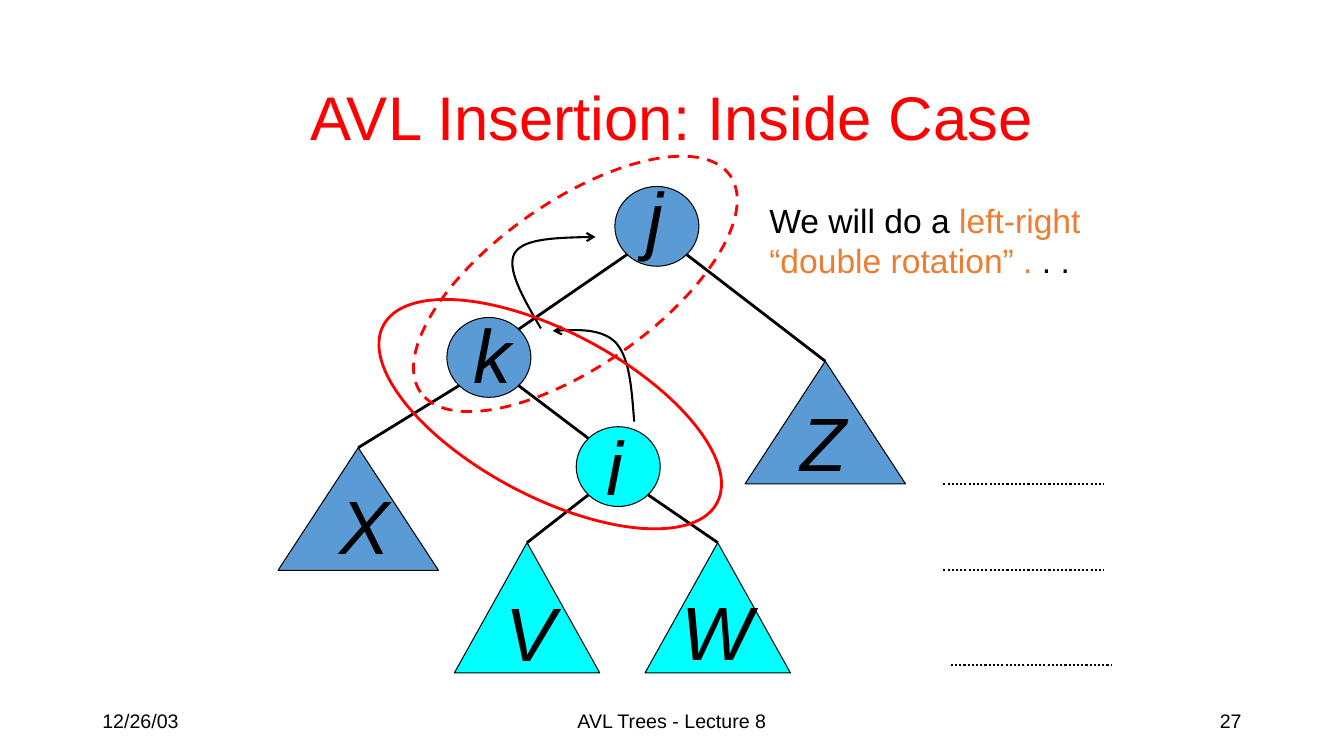
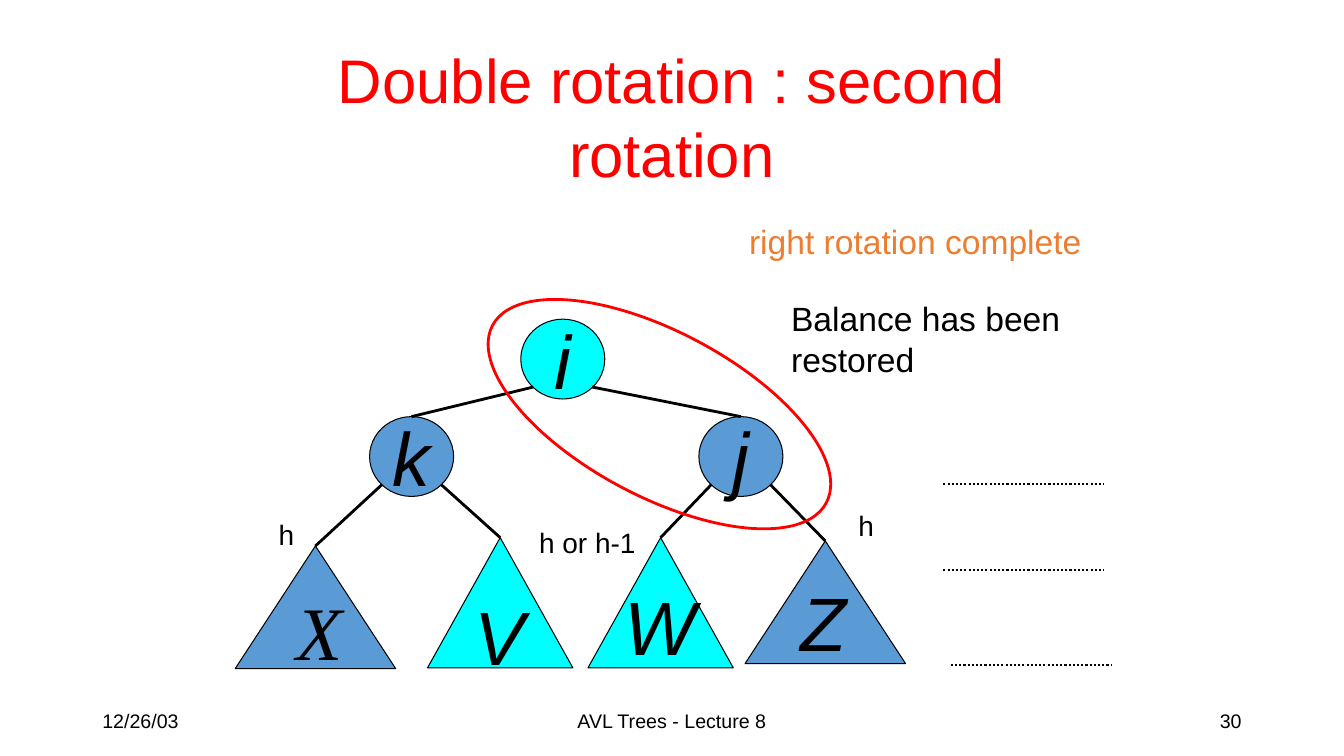
from lxml import etree
from pptx import Presentation
from pptx.dml.color import RGBColor
from pptx.enum.dml import MSO_LINE
from pptx.enum.shapes import MSO_CONNECTOR, MSO_SHAPE
from pptx.enum.text import MSO_ANCHOR, MSO_AUTO_SIZE, PP_ALIGN
from pptx.oxml.ns import qn
from pptx.util import Inches, Pt

OVAL, TRIANGLE = MSO_SHAPE.OVAL, MSO_SHAPE.ISOSCELES_TRIANGLE
LEFT, CENTER, RIGHT = PP_ALIGN.LEFT, PP_ALIGN.CENTER, PP_ALIGN.RIGHT
MIDDLE = MSO_ANCHOR.MIDDLE
DASH, DOTS = MSO_LINE.DASH, MSO_LINE.ROUND_DOT
STRAIGHT = MSO_CONNECTOR.STRAIGHT
COLS, ROWS = 160, 90
CELL = Inches(7.5) // ROWS
C = {k: RGBColor.from_string(v) for k, v in {
    "black": "000000", "red": "FF0000", "blue": "5B9BD5",
    "cyan": "00FFFF", "orange": "ED7D31"}.items()}

KINDS = {"circle": (OVAL, 10, 9.5), "wide": (TRIANGLE, 19.1, 14.6), "narrow": (TRIANGLE, 17.3, 15.5)}
NODES = {
    "i": ("circle", "cyan"), "j": ("circle", "blue"), "k": ("circle", "blue"),
    "X": ("wide", "blue"), "Z": ("wide", "blue"),
    "V": ("narrow", "cyan"), "W": ("narrow", "cyan"),
}
SITES = {"T": (0.5, 0), "TL": (0.15, 0.15), "TR": (0.85, 0.15), "BL": (0.15, 0.85), "BR": (0.85, 0.85)}
LEVELS = [(112.3, 57.6), (112.3, 67.9), (113.2, 79.2)]
RING_W, RING_H, LEVEL_W = 45, 19.6, 19.1

SLIDES = [
    {
        "title": "AVL Insertion: Inside Case",
        "number": "27",
        "nodes": {
            "j": (73.2, 22.2, 75.8, 19.7), "k": (53.2, 37.8, 55.2, 36.1),
            "X": (33.1, 53.3, 39.2, 56.4), "V": (54.1, 64.6, 59, 69.2),
            "Z": (88.7, 43, 94.1, 46.6), "W": (76.8, 64.6, 80, 69.1),
            "i": (68.6, 50.8, 71, 49.4)},
        "edges": ["j BL k TR", "j BR Z T", "k BL X T", "k BR i TL", "i BL V T", "i BR W T"],
        "notes": [((90.4, 23.2, 40.9, 10.9), 24, [
            [("We will do a ", "black"), ("left-right", "orange")],
            [("“double rotation” .", "orange"), (" . .", "black")]])],
        "arrows": [
            [(75.5, 50.2), (75.2, 46.4), (75, 42.8), (73.4, 40.9), (71.8, 39.1), (68.8, 39.2), (65.8, 39.4)],
            [(64.4, 39.1), (62.3, 35.5), (60.2, 31.9), (61.3, 30.1), (62.4, 28.3), (66.6, 28.3), (70.9, 28.2)]],
        "rings": [(43, 39.5, 28, None), (46, 24, 325, DASH)],
        "serif": "",
    },
    {
        "title": "Double rotation : second rotation",
        "number": "30",
        "nodes": {
            "j": (83.2, 49.6), "k": (44, 49.6), "X": (28, 65, 34.1, 69),
            "V": (50.9, 64), "Z": (88.7, 64.4, 94.1, 68),
            "W": (70, 64, 73.2, 68.5), "i": (62, 38)},
        "edges": ["i BL k T", "i BR j T", "k BL X T", "k BR V T", "j BL W T", "j BR Z T"],
        "notes": [
            ((88, 25.7, 42, 6), 24, [[("right rotation complete", "orange")]]),
            ((93, 34.9, 35.9, 10.9), 24, [[("Balance has been", "black")], [("restored", "black")]]),
            ((101, 60, 4.3, 5.2), 20, [[("h", "black")]]),
            ((32, 61, 4.3, 5.2), 20, [[("h", "black")]]),
            ((63, 62, 13.9, 5.2), 20, [[("h or h-1", "black")]])],
        "arrows": [],
        "rings": [(56, 39.5, 28, None)],
        "serif": "X",
    },
]


def write(sp, paras, size, align=LEFT, wrap=False, font="Arial", italic=False):
    tf = sp.text_frame
    tf.word_wrap = wrap
    for n, runs in enumerate(paras):
        p = tf.add_paragraph() if n else tf.paragraphs[0]
        p.alignment = align
        for words, colour in runs:
            r = p.add_run()
            r.text = words
            r.font.name, r.font.size, r.font.italic = font, Pt(size), italic
            r.font.color.rgb = C[colour]
    return tf


def add_line(s, x1, y1, x2, y2, width, dash=None):
    cn = s.shapes.add_connector(STRAIGHT, *(round(v * CELL) for v in (x1, y1, x2, y2)))
    cn.line.color.rgb, cn.line.width = C["black"], Pt(width)
    if dash:
        cn.line.dash_style = dash
    etree.SubElement(cn._element.spPr, qn("a:effectLst"))


prs = Presentation()
prs.slide_width, prs.slide_height = COLS * CELL, ROWS * CELL

for data in SLIDES:
    s = prs.slides.add_slide(prs.slide_layouts[5])
    title = s.shapes.title
    title.left, title.top, title.width, title.height = (round(v * CELL) for v in (28.7, 8.5, 102.6, 10.6))
    tf = write(title, [[(data["title"], "red")]], 44, CENTER, True)
    tf.auto_size, tf.vertical_anchor = MSO_AUTO_SIZE.NONE, MIDDLE

    for x, w, words, align in [(11, 36, "12/26/03", LEFT), (53, 54, "AVL Trees - Lecture 8", CENTER),
                               (113, 36, data["number"], RIGHT)]:
        tb = s.shapes.add_textbox(*(round(v * CELL) for v in (x, 83.4, w, 4.8)))
        write(tb, [[(words, "black")]], 14, align, True).vertical_anchor = MIDDLE

    for name, (x, y, *label) in data["nodes"].items():
        kind, colour = NODES[name]
        shape, w, h = KINDS[kind]
        sp = s.shapes.add_shape(shape, *(round(v * CELL) for v in (x, y, w, h)))
        sp.shadow.inherit = False
        sp.fill.solid()
        sp.fill.fore_color.rgb = C[colour]
        sp.line.color.rgb, sp.line.width = C["black"], Pt(0.75)
        letter = [[(name, "black")]]
        font = "Times New Roman" if name in data["serif"] else "Arial"
        if label:
            tb = s.shapes.add_textbox(*(round(v * CELL) for v in (*label, 6.1, 12)))
            tf = write(tb, letter, 54, wrap=True, font=font, italic=True)
            tf.auto_size = MSO_AUTO_SIZE.SHAPE_TO_FIT_TEXT
            before = etree.SubElement(tf.paragraphs[0]._p.get_or_add_pPr(), qn("a:spcBef"))
            etree.SubElement(before, qn("a:spcPct"), val="50000")
        else:
            write(sp, letter, 54, CENTER, font=font, italic=True).vertical_anchor = MIDDLE

    for edge in data["edges"]:
        parent, start, child, end = edge.split()
        ends = []
        for name, site in [(parent, start), (child, end)]:
            x, y = data["nodes"][name][:2]
            w, h = KINDS[NODES[name][0]][1:]
            ends += [x + SITES[site][0] * w, y + SITES[site][1] * h]
        add_line(s, *ends, 2)

    for x, y in LEVELS:
        add_line(s, x, y, x + LEVEL_W, y, 1.5, DOTS)

    for box, size, paras in data["notes"]:
        tb = s.shapes.add_textbox(*(round(v * CELL) for v in box))
        write(tb, paras, size).auto_size = MSO_AUTO_SIZE.SHAPE_TO_FIT_TEXT

    for curve in data["arrows"]:
        points = []
        for first in (0, 3):
            a, b, c, d = curve[first:first + 4]
            for t in (n / 16 for n in range(17)):
                points.append(tuple(
                    CELL * ((1 - t) ** 3 * a[m] + 3 * t * (1 - t) ** 2 * b[m]
                            + 3 * t ** 2 * (1 - t) * c[m] + t ** 3 * d[m]) for m in (0, 1)))
        fb = s.shapes.build_freeform(*points[0])
        fb.add_line_segments(points[1:], close=False)
        sp = fb.convert_to_shape()
        sp.shadow.inherit = False
        sp.fill.background()
        sp.line.color.rgb, sp.line.width = C["black"], Pt(1.5)
        etree.SubElement(sp._element.spPr.find(qn("a:ln")), qn("a:tailEnd"), type="arrow")

    for x, y, angle, dash in data["rings"]:
        sp = s.shapes.add_shape(OVAL, *(round(v * CELL) for v in (x, y, RING_W, RING_H)))
        sp.rotation = angle
        sp.shadow.inherit = False
        sp.fill.background()
        sp.line.color.rgb, sp.line.width = C["red"], Pt(2)
        if dash:
            sp.line.dash_style = dash

prs.save("out.pptx")
